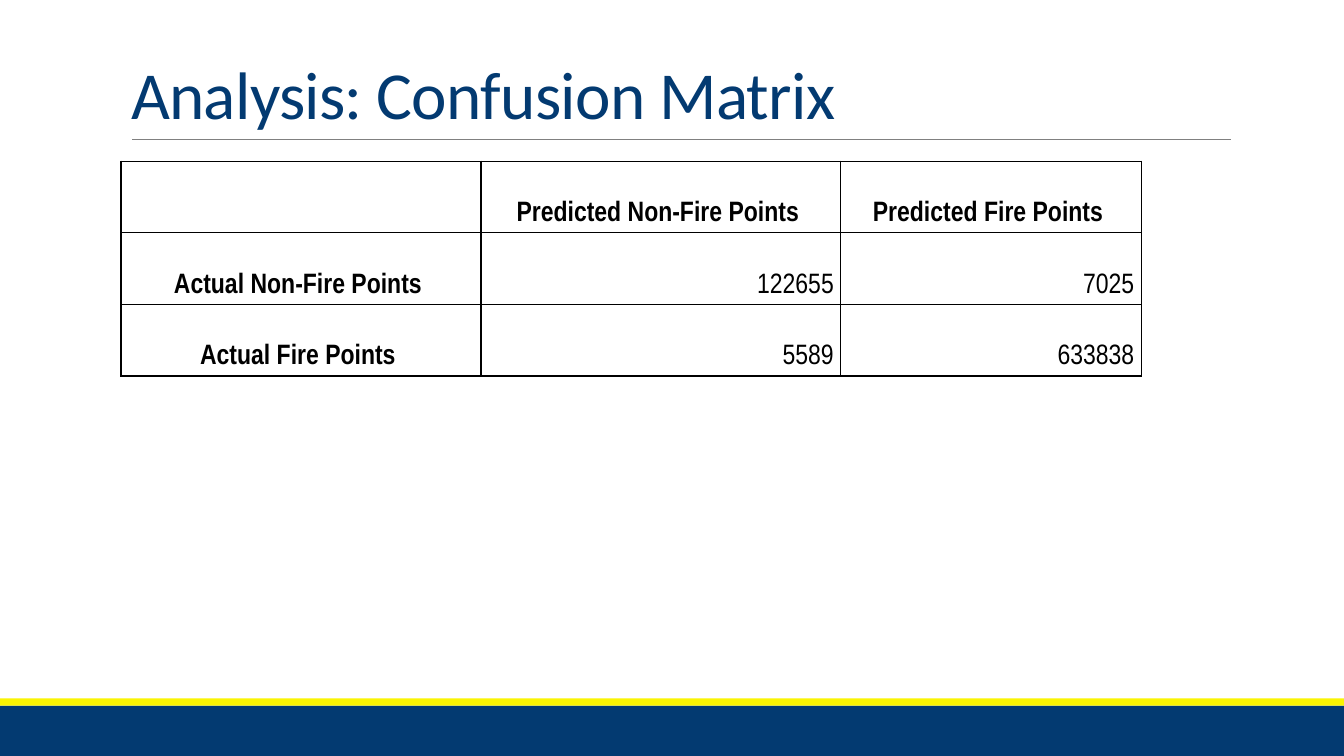
from pptx import Presentation
from pptx import util as u
from pptx.dml.color import RGBColor
from pptx.enum import shapes, text
from pptx.oxml.xmlchemy import OxmlElement

NAVY, YELLOW, GREY, BLACK = "033A71", "FAF402", "808080", "000000"
COLUMN_WIDTHS = [3.57, 3.57, 2.98]
ROW_HEIGHT = 0.71
CONFUSION_MATRIX = [
    ["", "Predicted Non-Fire Points", "Predicted Fire Points"],
    ["Actual Non-Fire Points", "122655", "7025"],
    ["Actual Fire Points", "5589", "633838"],
]


def color(hex_string):
    return RGBColor.from_string(hex_string)


def write(frame, words, *, font, size, fill=BLACK, bold=False, align=text.PP_ALIGN.LEFT,
          line_spacing=None, tracking=None):
    """Put one formatted paragraph in a text frame; tracking is in points."""
    paragraph = frame.paragraphs[0]
    paragraph.alignment = align
    paragraph.line_spacing = line_spacing
    run = paragraph.add_run()
    run.text = words
    run.font.name = font
    run.font.size = u.Pt(size)
    run.font.bold = bold
    run.font.color.rgb = color(fill)
    if tracking is not None:
        run.font._element.set("spc", str(round(tracking * 100)))


def add_band(slide, left, top, width, height, fill):
    band = slide.shapes.add_shape(shapes.MSO_SHAPE.RECTANGLE, u.Inches(left), u.Inches(top),
                                  u.Inches(width), u.Inches(height))
    band.shadow.inherit = False
    band.fill.solid()
    band.fill.fore_color.rgb = color(fill)
    band.line.fill.background()


def add_rule(slide, left, right, y):
    rule = slide.shapes.add_connector(shapes.MSO_CONNECTOR.STRAIGHT, u.Inches(left), u.Inches(y),
                                      u.Inches(right), u.Inches(y))
    rule.line.color.rgb = color(GREY)
    rule.line.width = u.Pt(0.5)
    rule._element.spPr.append(OxmlElement("a:effectLst"))


def set_title(slide, words):
    title = slide.shapes.title
    title.left, title.top = u.Inches(1.2), u.Inches(0.31)
    title.width, title.height = u.Inches(11), u.Inches(1.06)
    frame = title.text_frame
    frame.auto_size = text.MSO_AUTO_SIZE.NONE
    frame.vertical_anchor = text.MSO_ANCHOR.BOTTOM
    write(frame, words, font="Calibri", size=48, fill=NAVY, line_spacing=0.85, tracking=-0.5)


def outline_cell(cell):
    properties = cell._tc.get_or_add_tcPr()
    for side in ("a:lnL", "a:lnR", "a:lnT", "a:lnB"):
        border = OxmlElement(side)
        border.set("w", str(u.Pt(1)))
        fill = OxmlElement("a:solidFill")
        shade = OxmlElement("a:srgbClr")
        shade.set("val", BLACK)
        fill.append(shade)
        border.append(fill)
        properties.append(border)


def format_cell(cell, words, is_label):
    outline_cell(cell)
    cell.fill.background()
    cell.vertical_anchor = text.MSO_ANCHOR.BOTTOM
    cell.margin_left = cell.margin_top = u.Inches(0.01)
    cell.margin_right, cell.margin_bottom = u.Inches(0.07), u.Inches(0.05)
    if words:
        write(cell.text_frame, words, font="Arial Narrow", size=20, bold=is_label,
              align=text.PP_ALIGN.CENTER if is_label else text.PP_ALIGN.RIGHT,
              line_spacing=u.Pt(14.8))


def add_matrix(slide, rows, left, top):
    table = slide.shapes.add_table(len(rows), len(COLUMN_WIDTHS), u.Inches(left), u.Inches(top),
                                   u.Inches(sum(COLUMN_WIDTHS)),
                                   u.Inches(ROW_HEIGHT * len(rows))).table
    table.first_row = table.horz_banding = False
    for column, width in zip(table.columns, COLUMN_WIDTHS):
        column.width = u.Inches(width)
    for row_index, row in enumerate(rows):
        table.rows[row_index].height = u.Inches(ROW_HEIGHT)
        for column_index, words in enumerate(row):
            is_label = row_index == 0 or column_index == 0
            format_cell(table.cell(row_index, column_index), words, is_label)


def main():
    presentation = Presentation()
    presentation.slide_width, presentation.slide_height = u.Inches(13.33), u.Inches(7.5)
    slide = presentation.slides.add_slide(presentation.slide_layouts[5])
    add_band(slide, -0.06, 7, 13.52, 0.58, NAVY)
    add_band(slide, 0, 6.93, 13.33, 0.07, YELLOW)
    add_rule(slide, 1.31, 12.21, 1.38)
    set_title(slide, "Analysis: Confusion Matrix")
    add_matrix(slide, CONFUSION_MATRIX, 1.2, 1.6)
    presentation.save("out.pptx")


if __name__ == "__main__":
    main()
